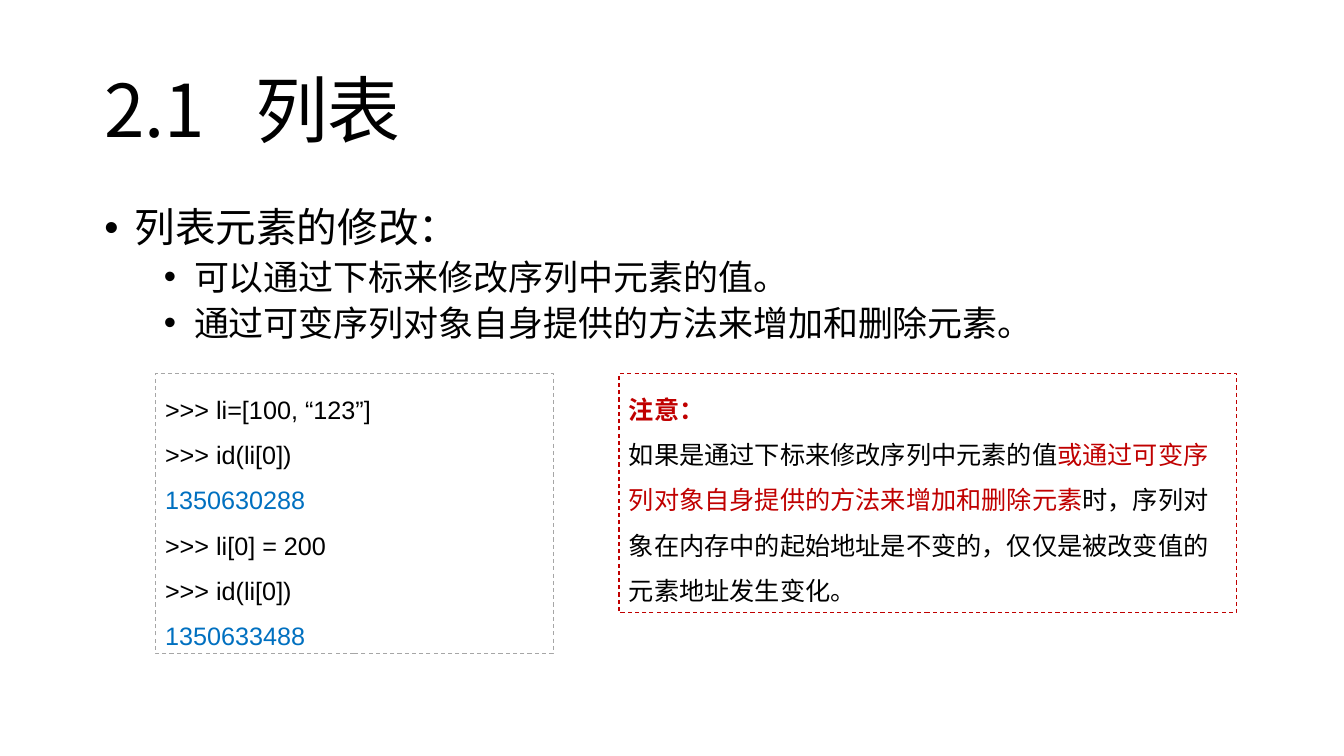
from dataclasses import dataclass

from lxml import etree
from pptx import Presentation
from pptx import util as u
from pptx.dml.color import RGBColor
from pptx.enum import dml, shapes, text
from pptx.oxml.ns import qn


@dataclass(frozen=True)
class Theme:
    sans: str = "Noto Sans CJK SC"
    latin: str = "Arial"
    ink: str = "000000"
    output: str = "0070C0"
    alert: str = "C00000"
    rule: str = "A6A6A6"
    title: int = 52
    topic: int = 29
    point: int = 25
    note: int = 18


T = Theme()


def add_run(p, content, size=T.note, color=T.ink, font=T.latin, bold=False):
    """Add formatted text to a paragraph."""
    r = p.add_run()
    r.text = content
    f = r.font
    f.name, f.size, f.bold = font, u.Pt(size), bold
    f.color.rgb = RGBColor.from_string(color)
    ea = etree.SubElement(f._element, qn("a:ea"))
    ea.set("typeface", T.sans)


def add_paragraph(tf, first, spacing, before=0):
    p = tf.paragraphs[0] if first else tf.add_paragraph()
    p.alignment = text.PP_ALIGN.LEFT
    p.line_spacing = spacing
    p.space_before = u.Pt(before)
    return p


def add_bullet(p, level, indent):
    p.level = level
    pPr = p._p.get_or_add_pPr()
    pPr.set("marL", str(u.Cm(indent)))
    pPr.set("indent", str(-u.Cm(0.76)))
    etree.SubElement(pPr, qn("a:buFont")).set("typeface", T.latin)
    etree.SubElement(pPr, qn("a:buChar")).set("char", "•")


def add_tab_stop(p, position):
    tabs = etree.SubElement(p._p.get_or_add_pPr(), qn("a:tabLst"))
    tab = etree.SubElement(tabs, qn("a:tab"))
    tab.set("pos", str(u.Cm(position)))
    tab.set("algn", "l")


def add_text_area(s, box, anchor):
    tf = s.shapes.add_textbox(*map(u.Cm, box)).text_frame
    tf.word_wrap = True
    tf.vertical_anchor = anchor
    tf.margin_left = tf.margin_right = u.Cm(0.3)
    tf.margin_top = tf.margin_bottom = u.Cm(0.15)
    return tf


def add_title(s, box, number, name):
    tf = add_text_area(s, box, text.MSO_ANCHOR.MIDDLE)
    p = add_paragraph(tf, True, 0.9)
    add_tab_stop(p, 3.8)
    add_run(p, f"{number}\t{name}", size=T.title, font=T.sans)


def add_outline(s, box, topic, points):
    tf = add_text_area(s, box, text.MSO_ANCHOR.TOP)
    p = add_paragraph(tf, True, 0.9, before=11.9)
    add_bullet(p, 0, 0.76)
    add_run(p, topic, size=T.topic, font=T.sans)
    for point in points:
        p = add_paragraph(tf, False, 0.9, before=6)
        add_bullet(p, 1, 2.26)
        add_run(p, point, size=T.point, font=T.sans)


def add_panel(s, box, border, lines):
    """Dashed frame; each line is a list of (text, format) pieces."""
    sp = s.shapes.add_shape(shapes.MSO_SHAPE.RECTANGLE, *map(u.Cm, box))
    sp.shadow.inherit = False
    sp.fill.background()
    sp.line.color.rgb = RGBColor.from_string(border)
    sp.line.width = u.Pt(0.75)
    sp.line.dash_style = dml.MSO_LINE.DASH
    tf = sp.text_frame
    tf.word_wrap = True
    tf.auto_size = text.MSO_AUTO_SIZE.SHAPE_TO_FIT_TEXT
    tf.vertical_anchor = text.MSO_ANCHOR.TOP
    for i, pieces in enumerate(lines):
        p = add_paragraph(tf, i == 0, 1.5)
        for content, style in pieces:
            add_run(p, content, **style)


def add_session(s, box, lines):
    """Interpreter session: prompts in ink, results in blue."""
    add_panel(s, box, T.rule, [
        [(line, {"color": T.ink if line.startswith(">>>") else T.output})]
        for line in lines])


def main():
    prs = Presentation()
    prs.slide_width, prs.slide_height = u.Cm(33.87), u.Cm(19.05)
    s = prs.slides.add_slide(prs.slide_layouts[6])

    # Heading and bullets
    add_title(s, (2.33, 1.02, 29.21, 3.68), "2.1", "列表")
    add_outline(s, (2.33, 5.08, 29.21, 12.1), "列表元素的修改：", [
        "可以通过下标来修改序列中元素的值。",
        "通过可变序列对象自身提供的方法来增加和删除元素。"])

    # Code example and note
    top = 9.42
    add_session(s, (3.91, top, 10.03, 7.04), [
        ">>> li=[100, “123”]", ">>> id(li[0])", "1350630288",
        ">>> li[0] = 200", ">>> id(li[0])", "1350633488"])
    add_panel(s, (15.6, top, 15.57, 6.02), T.alert, [
        [("注意：", {"color": T.alert, "bold": True})],
        [("如果是通过下标来修改序列中元素的值", {}),
         ("或通过可变序列对象自身提供的方法来增加和删除元素", {"color": T.alert}),
         ("时，序列对象在内存中的起始地址是不变的，仅仅是被改变值的元素地址发生变化。", {})]])

    prs.save("out.pptx")


if __name__ == "__main__":
    main()
